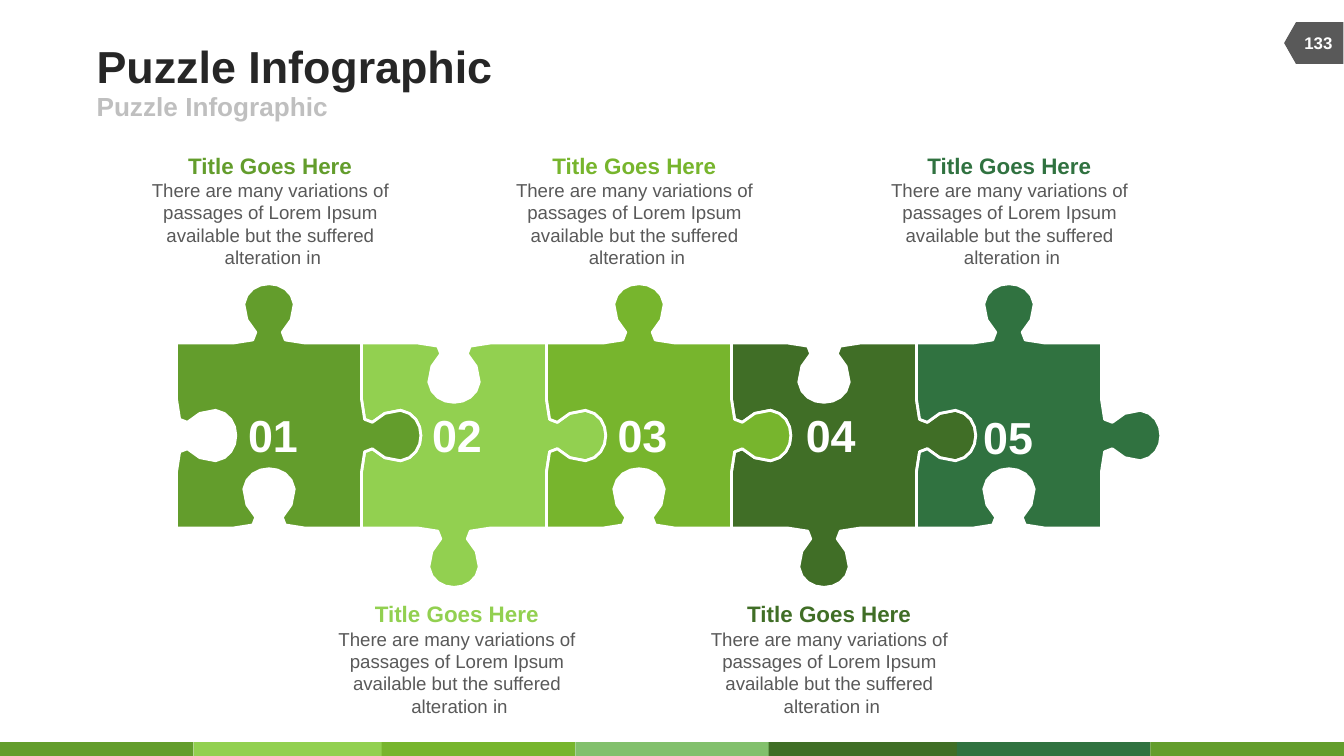
from pptx import Presentation
from pptx.dml.color import RGBColor
from pptx.enum.shapes import MSO_SHAPE
from pptx.enum.text import MSO_ANCHOR, MSO_AUTO_SIZE, PP_ALIGN
from pptx.util import Pt

RECTANGLE = MSO_SHAPE.RECTANGLE
OFFPAGE = MSO_SHAPE.FLOWCHART_OFFPAGE_CONNECTOR
TOP, MIDDLE, BOTTOM = MSO_ANCHOR.TOP, MSO_ANCHOR.MIDDLE, MSO_ANCHOR.BOTTOM
LEFT, CENTER = PP_ALIGN.LEFT, PP_ALIGN.CENTER
GROW = MSO_AUTO_SIZE.SHAPE_TO_FIT_TEXT

GREEN = RGBColor(0x63, 0x9D, 0x2C)
LIGHT_GREEN = RGBColor(0x92, 0xD0, 0x50)
LIME = RGBColor(0x77, 0xB5, 0x2D)
SAGE = RGBColor(0x82, 0xC0, 0x6C)
OLIVE = RGBColor(0x40, 0x6E, 0x26)
FOREST = RGBColor(0x30, 0x72, 0x40)
INK = RGBColor(0x26, 0x26, 0x26)
GRAY = RGBColor(0x59, 0x59, 0x59)
SILVER = RGBColor(0xBF, 0xBF, 0xBF)
WHITE = RGBColor(0xFF, 0xFF, 0xFF)

PIECE_COLORS = [GREEN, LIGHT_GREEN, LIME, OLIVE, FOREST]
STACKING = [3, 4, 1, 0, 2]  # back to front, so that each tab lies as intended
NUMBER_BOXES = [(132.5, 218.2), (231.1, 218.2), (330.5, 218.2),
                (431.3, 218.2), (526.3, 219.6)]
CALLOUT_LEFTS = [74.2, 174.2, 269.3, 373.7, 470.2]
FOOTER_COLORS = [GREEN, LIGHT_GREEN, LIME, SAGE, OLIVE, FOREST, GREEN]
FOOTER_LEFTS = [0, 103.7, 204.5, 308.2, 411.8, 512.6, 616.3]

SIDE = 99.1
CURVE_STEPS = [2, 2, 8, 2, 2]  # the round head needs the most points
# Bezier points of half a tab: offset from the side's middle, height above the side
HALF_TAB = [(-19.3, 0), (-8.5, 0), (-5.9, 2.5), (-7.1, 5.8),
            (-9.9, 11.9), (-14.9, 12.4), (-13.5, 20.9), (-11.3, 35.4)]


def tab_outline():
    """Sample the Bezier curves of a whole tab as (offset, height) points."""
    controls = HALF_TAB + [(-x, y) for x, y in reversed(HALF_TAB)]
    points = [controls[0]]
    for index, steps in enumerate(CURVE_STEPS):
        curve = controls[3 * index:3 * index + 4]
        for step in range(1, steps + 1):
            t = step / steps
            weights = ((1 - t) ** 3, 3 * t * (1 - t) ** 2, 3 * t * t * (1 - t), t ** 3)
            points.append(tuple(sum(w * point[axis] for w, point in zip(weights, curve))
                                for axis in (0, 1)))
    return points


def piece_outline(left, top, tab_on_top):
    """Walk clockwise round a square with a tab (1) or socket (-1) on each side."""
    vertical = 1 if tab_on_top else -1
    x, y = left, top
    outline = []
    for dx, dy, sign in ((1, 0, vertical), (0, 1, 1), (-1, 0, -vertical), (0, -1, -1)):
        outline.append((x, y))
        for offset, height in tab_outline():
            along, outward = SIDE / 2 + offset, sign * height
            outline.append((x + dx * along + dy * outward,
                            y + dy * along - dx * outward))
        x, y = x + dx * SIDE, y + dy * SIDE
    return [(Pt(px), Pt(py)) for px, py in outline]


def add_piece(slide, left, top, tab_on_top, color):
    outline = piece_outline(left, top, tab_on_top)
    builder = slide.shapes.build_freeform(*outline[0], scale=1.0)
    builder.add_line_segments(outline[1:], close=True)
    piece = builder.convert_to_shape()
    piece.shadow.inherit = False
    piece.fill.solid()
    piece.fill.fore_color.rgb = color
    piece.line.color.rgb = WHITE
    piece.line.width = Pt(1.5)


def add_plain_shape(slide, kind, box, color):
    shape = slide.shapes.add_shape(kind, *map(Pt, box))
    shape.shadow.inherit = False
    shape.fill.solid()
    shape.fill.fore_color.rgb = color
    shape.line.fill.background()
    return shape


def add_text_frame(slide, box, anchor, wrap=False, inset=True):
    frame = slide.shapes.add_textbox(*map(Pt, box)).text_frame
    frame.word_wrap = wrap
    frame.vertical_anchor = anchor
    if not inset:
        frame.margin_left = frame.margin_top = 0
        frame.margin_right = frame.margin_bottom = 0
    return frame


def style_paragraph(paragraph, size, color, bold=True, alignment=CENTER):
    paragraph.alignment = alignment
    paragraph.font.name = "Arial"
    paragraph.font.size = Pt(size)
    paragraph.font.bold = bold
    paragraph.font.color.rgb = color


def add_line_of_text(slide, box, text, size, color, anchor=MIDDLE, alignment=CENTER,
                     wrap=False, inset=False):
    frame = add_text_frame(slide, box, anchor, wrap, inset)
    paragraph = frame.paragraphs[0]
    paragraph.text = text
    style_paragraph(paragraph, size, color, alignment=alignment)
    return frame


def add_footer(slide, top, height):
    for left, color in zip(FOOTER_LEFTS, FOOTER_COLORS):
        add_plain_shape(slide, RECTANGLE, (left, top, 103.7, height), color)


def add_page_number(slide, left, top):
    tag = add_plain_shape(slide, OFFPAGE, (left, top, 22.3, 31.7), GRAY)
    tag.rotation = 90
    add_line_of_text(slide, (left - 1.4, top + 5, 30.2, 21.6), "133", 9, WHITE,
                     wrap=True, inset=True)


def add_heading(slide, left, top):
    add_line_of_text(slide, (left, top, 444.2, 28.1), "Puzzle Infographic", 24, INK,
                     alignment=LEFT)
    add_line_of_text(slide, (left, top + 28.1, 324, 15.8), "Puzzle Infographic", 14,
                     SILVER, alignment=LEFT)


def add_puzzle(slide, left, top):
    for index in STACKING:
        add_piece(slide, left + index * SIDE, top, index % 2 == 0, PIECE_COLORS[index])
    for number, position in enumerate(NUMBER_BOXES, start=1):
        frame = add_line_of_text(slide, (*position, 27.4, 28.8), f"{number:02}", 24,
                                 WHITE, anchor=BOTTOM)
        frame.auto_size = GROW


def add_callout(slide, left, top, color):
    frame = add_text_frame(slide, (left, top, 141.1, 70.6), TOP, wrap=True)
    frame.auto_size = GROW
    title = frame.paragraphs[0]
    title.text = "Title Goes Here"
    style_paragraph(title, 12, color)
    body = frame.add_paragraph()
    body.add_run().text = ("There are many variations of passages of Lorem Ipsum "
                           "available but the suffered")
    body.add_line_break()
    body.add_run().text = " alteration in"
    style_paragraph(body, 10, GRAY, bold=False)


def main():
    presentation = Presentation()
    presentation.slide_width, presentation.slide_height = Pt(720), Pt(405)
    slide = presentation.slides.add_slide(presentation.slide_layouts[6])
    add_footer(slide, 397.6, 7.4)
    add_page_number(slide, 692.6, 7.2)
    add_heading(slide, 51.8, 20.9)
    add_puzzle(slide, 94.6, 183.8)
    for index, (left, color) in enumerate(zip(CALLOUT_LEFTS, PIECE_COLORS)):
        add_callout(slide, left, 318.2 if index % 2 else 77.8, color)
    presentation.save("out.pptx")


if __name__ == "__main__":
    main()
